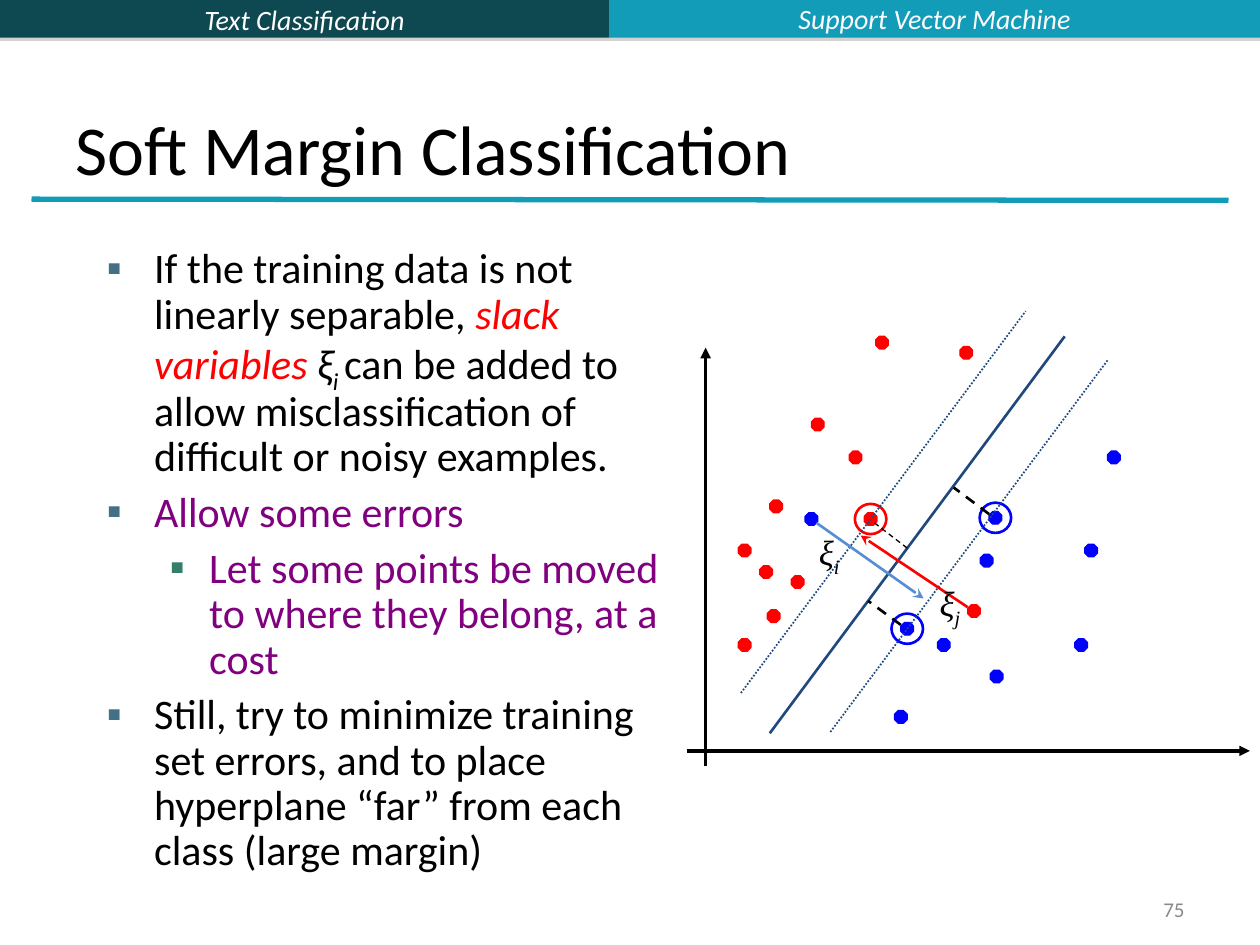
from dataclasses import dataclass

from lxml import etree
from pptx import Presentation
from pptx.dml.color import RGBColor
from pptx.enum.dml import MSO_LINE
from pptx.enum.shapes import MSO_CONNECTOR, MSO_SHAPE
from pptx.enum.text import MSO_ANCHOR, PP_ALIGN
from pptx.oxml.ns import qn
from pptx.util import Pt

RECTANGLE, OCTAGON, OVAL = MSO_SHAPE.RECTANGLE, MSO_SHAPE.OCTAGON, MSO_SHAPE.OVAL
STRAIGHT = MSO_CONNECTOR.STRAIGHT
DASH, DOT = MSO_LINE.DASH, MSO_LINE.ROUND_DOT
TOP, MIDDLE, BOTTOM = MSO_ANCHOR.TOP, MSO_ANCHOR.MIDDLE, MSO_ANCHOR.BOTTOM
LEFT, CENTER, RIGHT = PP_ALIGN.LEFT, PP_ALIGN.CENTER, PP_ALIGN.RIGHT


@dataclass(frozen=True)
class Theme:
    font: str = "Calibri"
    math_font: str = "Times New Roman"
    title: int = 40
    body: int = 24
    symbol: int = 20
    header: int = 16
    number: int = 12
    black: str = "000000"
    white: str = "FFFFFF"
    header_white: str = "FBFCFF"
    dark_teal: str = "0E4851"
    teal: str = "139CB7"
    gray: str = "898989"
    shadow: str = "808080"
    red: str = "FF0000"
    blue: str = "0000FF"
    purple: str = "800080"
    navy: str = "1F497D"
    sky: str = "558ED5"
    bullet: str = "437085"
    sub_bullet: str = "357E69"


THEME = Theme()
DOT_SIZE = 7.2
RING_WIDTH, RING_HEIGHT = 18, 17.3
RED_DOTS = [(488.9, 261.4), (443.5, 289.4), (455.8, 332.6), (425.5, 368.6),
            (467.3, 242.6), (425.5, 314.6), (437.8, 326.9), (497.5, 296.6),
            (504, 195.8), (552.2, 201.6), (442.1, 352.1), (556.6, 349.2)]
BLUE_DOTS = [(568.8, 295.9), (539.3, 368.6), (617.8, 368.6), (514.8, 409.7),
             (563.8, 320.4), (518.4, 359.3), (569.5, 386.6), (623.5, 314.6),
             (636.5, 261.4), (463.7, 296.6)]
SUPPORT_VECTORS = [(RED_DOTS[7], THEME.red), (BLUE_DOTS[5], THEME.blue),
                   (BLUE_DOTS[0], THEME.blue)]


def add_span(para, text, size=THEME.body, color=THEME.black, font=THEME.font,
             italic=False, subscript=False):
    span = para.add_run()
    span.text = text
    span.font.size = Pt(size)
    span.font.name = font
    span.font.italic = italic
    span.font.color.rgb = RGBColor.from_string(color)
    if subscript:
        span.font._element.set("baseline", "-25000")


def add_bullet(para, color, margin, indent):
    properties = para._p.get_or_add_pPr()
    properties.set("marL", str(Pt(margin)))
    properties.set("indent", str(Pt(-indent)))
    tint = etree.SubElement(properties, qn("a:buClr"))
    etree.SubElement(tint, qn("a:srgbClr"), val=color)
    etree.SubElement(properties, qn("a:buFont"), typeface=THEME.font)
    etree.SubElement(properties, qn("a:buChar"), char="▪")


class Page:
    def __init__(self, deck):
        self.shapes = deck.slides.add_slide(deck.slide_layouts[6]).shapes

    def shape(self, kind, left, top, width, height, fill=None, line=None, weight=0.75):
        shape = self.shapes.add_shape(kind, Pt(left), Pt(top), Pt(width), Pt(height))
        shape.shadow.inherit = False
        if fill:
            shape.fill.solid()
            shape.fill.fore_color.rgb = RGBColor.from_string(fill)
        else:
            shape.fill.background()
        if line:
            shape.line.color.rgb = RGBColor.from_string(line)
            shape.line.width = Pt(weight)
        else:
            shape.line.fill.background()
        return shape

    def centered(self, kind, center, width, height, **style):
        x, y = center
        return self.shape(kind, x - width / 2, y - height / 2, width, height, **style)

    def header(self, left, width, fill):
        bar = self.shape(RECTANGLE, left, 0, width, 21.6, fill=fill)
        effects = bar._element.spPr.find(qn("a:effectLst"))
        shadow = etree.SubElement(effects, qn("a:outerShdw"), dist=str(Pt(1.8)),
                                  dir="5400000", rotWithShape="0")
        tint = etree.SubElement(shadow, qn("a:srgbClr"), val=THEME.shadow)
        etree.SubElement(tint, qn("a:alpha"), val="35000")

    def line(self, start, end, color, weight=1.5, dash=None, arrow=None):
        line = self.shapes.add_connector(STRAIGHT, *map(Pt, start + end))
        line.line.color.rgb = RGBColor.from_string(color)
        line.line.width = Pt(weight)
        if dash:
            line.line.dash_style = dash
        if arrow:
            etree.SubElement(line.line._get_or_add_ln(), qn("a:tailEnd"), type=arrow)
        etree.SubElement(line._element.spPr, qn("a:effectLst"))

    def text_box(self, left, top, width, height, anchor=TOP, align=LEFT):
        box = self.shapes.add_textbox(Pt(left), Pt(top), Pt(width), Pt(height))
        box.text_frame.word_wrap = True
        box.text_frame.vertical_anchor = anchor
        box.text_frame.paragraphs[0].alignment = align
        return box.text_frame

    def label(self, text, left, top, width, height, anchor=TOP, align=LEFT, **style):
        frame = self.text_box(left, top, width, height, anchor, align)
        add_span(frame.paragraphs[0], text, **style)

    def slack_symbol(self, index, left, top):
        para = self.text_box(left, top, 55.4, 34.6).paragraphs[0]
        style = dict(size=THEME.symbol, font=THEME.math_font, italic=True)
        add_span(para, "ξ", **style)
        add_span(para, index, subscript=True, **style)

    def bullets(self, left, top, width, height, items):
        frame = self.text_box(left, top, width, height)
        for number, (level, spans) in enumerate(items):
            para = frame.add_paragraph() if number else frame.paragraphs[0]
            para.level = level
            para.line_spacing = 0.9
            para.space_before = Pt(6 if number else 0)
            if level:
                add_bullet(para, THEME.sub_bullet, 58.5, 22.5)
            else:
                add_bullet(para, THEME.bullet, 27, 27)
            for text, style in spans:
                add_span(para, text, **style)


def main():
    deck = Presentation()
    deck.slide_width, deck.slide_height = Pt(720), Pt(540)
    page = Page(deck)

    page.header(0, 348, THEME.dark_teal)
    page.header(348, 372, THEME.teal)
    page.label("Text Classification", 0, 0, 348, 21.6, MIDDLE, CENTER,
               size=THEME.header, color=THEME.white, italic=True)
    page.label("Support Vector Machine", 348, -2.9, 372, 26.6, MIDDLE, CENTER,
               size=THEME.header, color=THEME.header_white, italic=True)
    page.line((18, 113.8), (702, 114.5), THEME.teal, weight=3)
    page.label("75", 516, 510, 168, 19.4, MIDDLE, RIGHT,
               size=THEME.number, color=THEME.gray)
    page.label("Soft Margin Classification", 36, 21.6, 648, 90, BOTTOM, size=THEME.title)

    purple = dict(color=THEME.purple)
    page.bullets(54, 138, 330, 384, [
        (0, [("If the training data is not linearly separable, ", {}),
             ("slack variables ", dict(color=THEME.red, italic=True)),
             ("ξ", dict(italic=True)),
             ("i ", dict(italic=True, subscript=True)),
             ("can be added to allow misclassification of difficult or noisy examples.", {})]),
        (0, [("Allow some errors", purple)]),
        (1, [("Let some points be moved to where they belong, at a cost", purple)]),
        (0, [("Still, try to minimize training set errors, and to place "
              "hyperplane “far” from each class (large margin)", {})]),
    ])

    page.line((403.2, 437.8), (403.2, 198.7), THEME.black, 2, arrow="triangle")
    page.line((392.4, 429.1), (714.2, 429.1), THEME.black, 2, arrow="triangle")
    for color, centers in ((THEME.red, RED_DOTS), (THEME.blue, BLUE_DOTS)):
        for center in centers:
            page.centered(OCTAGON, center, DOT_SIZE, DOT_SIZE, fill=color, line=color)
    for center, color in SUPPORT_VECTORS:
        page.centered(OVAL, center, RING_WIDTH, RING_HEIGHT, line=color, weight=1.5)

    page.line((439.9, 419), (608.4, 192.2), THEME.navy)
    for start, end in (((474.5, 418.3), (632.9, 205.9)), ((423.4, 396), (586.1, 177.8))):
        page.line(start, end, THEME.navy, 1, DOT)
    for start, end, weight in (((565.2, 293.8), (545, 278.6), 1.5),
                               ((514.8, 357.1), (496.1, 343.4), 1.5),
                               ((518.4, 313.2), (499.7, 298.8), 0.75)):
        page.line(start, end, THEME.black, weight, DASH)
    page.line((553, 347), (491.8, 306), THEME.red, arrow="stealth")
    page.line((466.6, 298.8), (527.8, 342), THEME.sky, arrow="stealth")
    page.slack_symbol("j", 529.9, 329)
    page.slack_symbol("i", 460.8, 299.5)

    deck.save("out.pptx")


if __name__ == "__main__":
    main()
